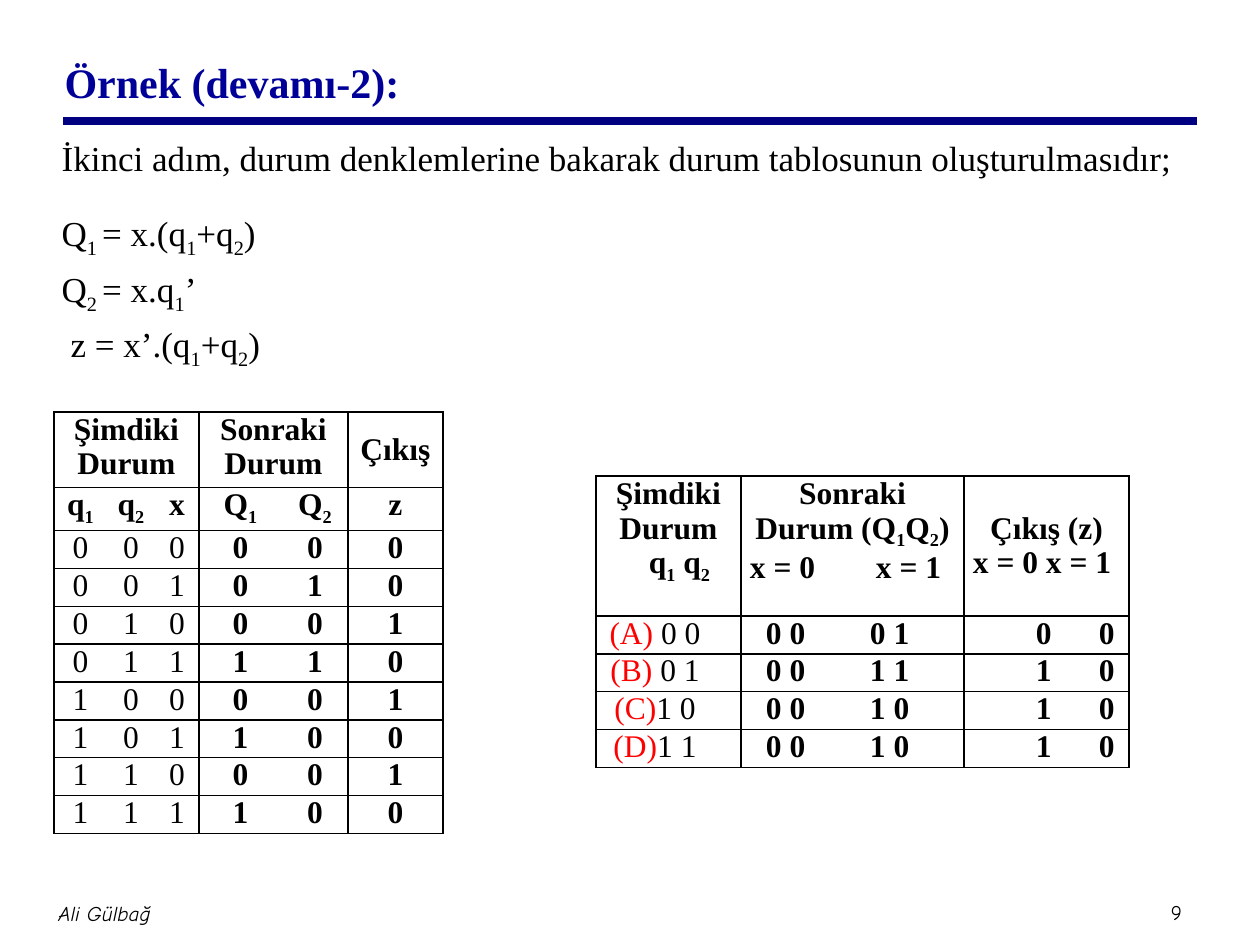
from lxml import etree
from pptx import Presentation
from pptx.dml.color import RGBColor
from pptx.enum.shapes import MSO_CONNECTOR
from pptx.enum.text import MSO_ANCHOR, MSO_AUTO_SIZE, PP_ALIGN
from pptx.oxml.ns import qn
from pptx.util import Emu, Pt

LEFT, MID = PP_ALIGN.LEFT, PP_ALIGN.CENTER
CENTER = MSO_ANCHOR.MIDDLE
FIXED = MSO_AUTO_SIZE.NONE
STRAIGHT = MSO_CONNECTOR.STRAIGHT
SERIF, HAND = "Times New Roman", "Comic Neue"
COLORS = {"ink": "000000", "title": "000099", "rule": "000080", "state": "FF0000"}
PLAIN = "{2D5ABB26-0587-4C30-8999-92F81FD0307C}"
LINE = 35


def px(num):
    """Turn pixels into EMU."""
    return Emu(round(num * 914400 / 126))


def add(parent, tag, **attrs):
    """Append a DrawingML element."""
    return etree.SubElement(parent, qn("a:" + tag), {k: str(v) for k, v in attrs.items()})


def write(par, text, size=18, color="ink", bold=False, italic=False, font=SERIF):
    """Add text as runs, with subscripts between tildes."""
    for pos, part in enumerate(text.split("~")):
        if not part:
            continue
        run = par.add_run()
        run.text = part
        run.font.size = Pt(size)
        run.font.name = font
        run.font.bold = bold
        run.font.italic = italic
        run.font.color.rgb = RGBColor.from_string(COLORS[color])
        if pos % 2:
            run.font._element.set("baseline", "-25000")


def form(par, align=MID, before=0, indent=0, stops=()):
    """Set alignment, spacing, indent and tab stops of a paragraph."""
    par.alignment = align
    par.space_before = Pt(before)
    props = par._p.get_or_add_pPr()
    props.set("marL", str(px(indent)))
    props.set("indent", "0")
    add(props, "buNone")
    if stops:
        tabs = add(props, "tabLst")
        for stop in stops:
            add(tabs, "tab", pos=px(stop), algn="l")


def place(shape, left, top, width, height):
    """Set the bounds of a shape."""
    shape.left, shape.top = px(left), px(top)
    shape.width, shape.height = px(width), px(height)


def label(slide, text, box, **style):
    """Add a centred footer label."""
    frame = slide.shapes.add_textbox(*map(px, box)).text_frame
    frame.word_wrap = True
    frame.vertical_anchor = CENTER
    frame.margin_left = frame.margin_right = px(6)
    frame.margin_top = frame.margin_bottom = px(6)
    form(frame.paragraphs[0])
    write(frame.paragraphs[0], text, size=12, font=HAND, **style)


def rule(slide, left, right, top):
    """Draw the line below the title."""
    line = slide.shapes.add_connector(STRAIGHT, px(left), px(top), px(right), px(top))
    line.line.color.rgb = RGBColor.from_string(COLORS["rule"])
    line.line.width = Pt(4.5)
    add(line._element.spPr, "effectLst")


def edge(cell, sides):
    """Draw the given sides of a cell."""
    props = cell._tc.get_or_add_tcPr()
    for side in "LRTB":
        line = add(props, "ln" + side, w=Pt(1) if side in sides else 0)
        if side in sides:
            add(add(line, "solidFill"), "srgbClr", val=COLORS["ink"])
        else:
            add(line, "noFill")
    cell.fill.background()


def grid(slide, left, top, cols, rows, groups):
    """Add a ruled table whose columns fall into groups with merged heads."""
    shape = slide.shapes.add_table(
        len(rows), len(cols), *map(px, (left, top, sum(cols), sum(rows))))
    table = shape.table
    table._tbl.tblPr.find(qn("a:tableStyleId")).text = PLAIN
    table.first_row = table.horz_banding = False
    for col, width in zip(table.columns, cols):
        col.width = px(width)
    for row, height in zip(table.rows, rows):
        row.height = px(height)
    for row in range(len(rows)):
        for first, last in groups:
            for col in range(first, last + 1):
                cell = table.cell(row, col)
                cell.margin_left = cell.margin_right = px(9)
                cell.margin_top = cell.margin_bottom = 0
                sides = "TB" + "L" * (col == first or not row) + "R" * (col == last or not row)
                edge(cell, sides)
    for first, last in groups:
        if last > first:
            table.cell(0, first).merge(table.cell(0, last))
    return table


def fill(cell, *lines, bold=True):
    """Write lines, each a text with its paragraph format, into a cell."""
    frame = cell.text_frame
    for pos, (text, style) in enumerate(lines):
        par = frame.add_paragraph() if pos else frame.paragraphs[0]
        form(par, **style)
        write(par, text, bold=bold)


def truth(slide):
    """Add the table of present state, next state and output."""
    table = grid(slide, 54, 412, [53, 48, 44, 83, 66, 95],
                 [2 * LINE, 40] + [LINE] * 8, [(0, 2), (3, 4), (5, 5)])
    for col, words in ((0, "Şimdiki Durum"), (3, "Sonraki Durum"), (5, "Çıkış")):
        fill(table.cell(0, col), *((word, {}) for word in words.split()))
    table.cell(0, 5).vertical_anchor = CENTER
    for col, name in enumerate(["q~1~", "q~2~", "x", "Q~1~", "Q~2~", "z"]):
        fill(table.cell(1, col), (name, {}))
    rows = ["000000", "001010", "010001", "011110",
            "100001", "101100", "110001", "111100"]
    for row, bits in enumerate(rows, 2):
        for col, bit in enumerate(bits):
            fill(table.cell(row, col), (bit, {}), bold=col > 2)


def states(slide):
    """Add the table of named states."""
    table = grid(slide, 596, 476, [118, 27, 96, 127, 165],
                 [4 * LINE] + [LINE] * 4, [(0, 1), (2, 3), (4, 4)])
    fill(table.cell(0, 0), ("Şimdiki", {}), ("Durum", {}), ("q~1~ q~2~", {"indent": 22}))
    fill(table.cell(0, 2), ("Sonraki", {}), ("Durum (Q~1~Q~2~)", {}),
         ("x = 0\tx = 1", {"align": LEFT, "stops": [105]}))
    fill(table.cell(0, 4), ("Çıkış (z)", {}), ("x = 0 x = 1", {"align": LEFT}))
    table.cell(0, 4).margin_top = px(LINE)
    rows = [("(A) ", "0 0", "0 0", "0 1", "0", "0"),
            ("(B) ", "0 1", "0 0", "1 1", "1", "0"),
            ("(C)", "1 0", "0 0", "1 0", "1", "0"),
            ("(D)", "1 1", "0 0", "1 0", "1", "0")]
    for row, (name, now, low, high, out, last) in enumerate(rows, 1):
        par = table.cell(row, 0).text_frame.paragraphs[0]
        form(par)
        write(par, name, color="state")
        write(par, now)
        add(table.cell(row, 1).text_frame.paragraphs[0]._p, "endParaRPr", sz=1200)
        fill(table.cell(row, 2), (low, {"align": LEFT, "indent": 16}))
        fill(table.cell(row, 3), (high, {"align": LEFT, "indent": 24}))
        fill(table.cell(row, 4), (f"\t{out}\t{last}", {"align": LEFT, "stops": [35, 98]}))


def heading(slide):
    """Fill the title placeholder."""
    title = slide.shapes.title
    place(title, 52, 28, 1071, 108)
    frame = title.text_frame
    frame.auto_size = FIXED
    frame.vertical_anchor = CENTER
    form(frame.paragraphs[0], align=LEFT)
    write(frame.paragraphs[0], "Örnek (devamı-2):", size=24, color="title", bold=True)


def body(slide):
    """Fill the body placeholder with the state equations."""
    shape = slide.placeholders[1]
    place(shape, 49, 130, 1154, 699)
    frame = shape.text_frame
    frame.auto_size = FIXED
    lines = [
        ("İkinci adım, durum denklemlerine bakarak durum tablosunun oluşturulmasıdır;", 2, 0),
        ("Q~1 ~= x.(q~1~+q~2~)", 19, 0),
        ("Q~2 ~= x.q~1~’", 4.5, 0),
        ("z = x’.(q~1~+q~2~)", 4.5, 9),
    ]
    for pos, (text, before, indent) in enumerate(lines):
        par = frame.add_paragraph() if pos else frame.paragraphs[0]
        form(par, align=LEFT, before=before, indent=indent)
        write(par, text, size=20)


def main():
    """Build and save the slide."""
    deck = Presentation()
    deck.slide_width, deck.slide_height = px(1260), px(945)
    slide = deck.slides.add_slide(deck.slide_layouts[1])
    rule(slide, 63, 1197, 121)
    label(slide, "9", (1147, 893, 59, 38))
    label(slide, "Ali Gülbağ", (-121, 882, 451, 63), italic=True)
    heading(slide)
    body(slide)
    truth(slide)
    states(slide)
    deck.save("out.pptx")


if __name__ == "__main__":
    main()
